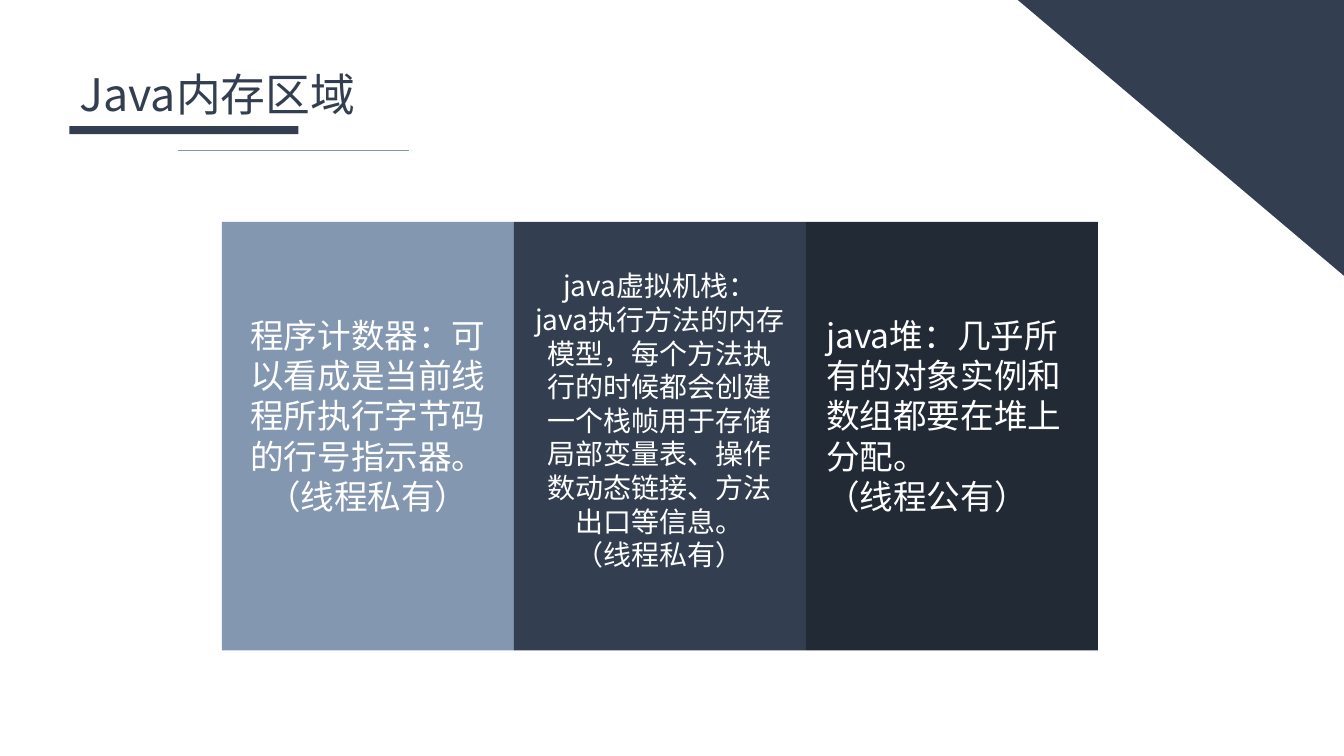
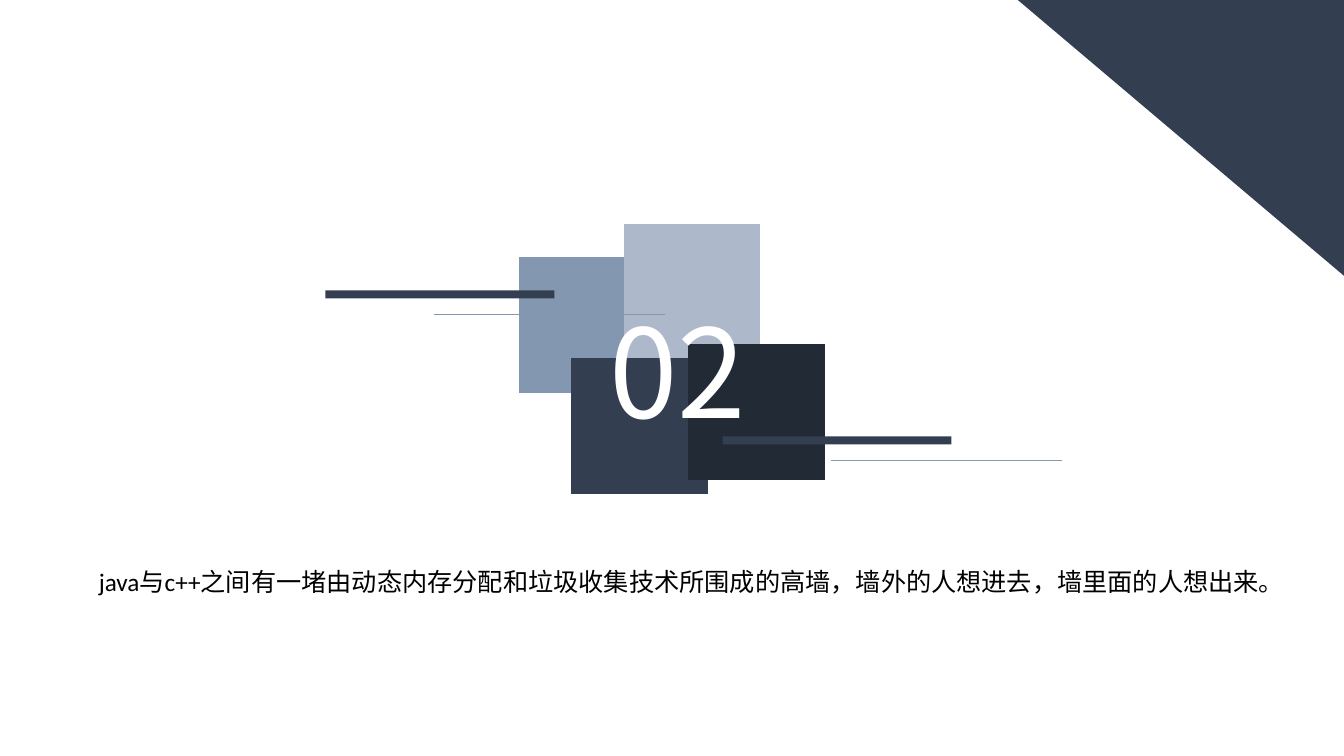
from lxml.etree import SubElement
from pptx import Presentation
from pptx.dml.color import RGBColor
from pptx.enum.shapes import MSO_CONNECTOR as Connector, MSO_SHAPE as Shape
from pptx.enum.text import MSO_AUTO_SIZE as AutoSize, PP_ALIGN as Align
from pptx.oxml.ns import qn
from pptx.util import Cm, Pt

WHITE = RGBColor(0xFF, 0xFF, 0xFF)
BLACK = RGBColor(0, 0, 0)
PALE = RGBColor(0xAD, 0xB9, 0xCA)
STEEL = RGBColor(0x84, 0x97, 0xB0)
NAVY = RGBColor(0x33, 0x3F, 0x50)
INK = RGBColor(0x22, 0x2A, 0x35)

SLIDE_WIDTH, SLIDE_HEIGHT = 33.87, 19.05
CJK_FONT = "Noto Sans CJK JP"
LATIN_FONT = "Calibri"


class Deck:
    """Holds the style and the current slide; lengths are in centimetres."""

    def __init__(self):
        self.presentation = Presentation()
        self.presentation.slide_width = Cm(SLIDE_WIDTH)
        self.presentation.slide_height = Cm(SLIDE_HEIGHT)
        self.slide = None

    def add_slide(self):
        """Start a blank slide with the corner triangle."""
        layout = self.presentation.slide_layouts[6]
        self.slide = self.presentation.slides.add_slide(layout)
        width, height = 8.22, 6.95
        self.add_shape(Shape.RIGHT_TRIANGLE, SLIDE_WIDTH - width, 0,
                       width, height, NAVY, rotation=180)

    def add_shape(self, kind, left, top, width, height, color, rotation=0):
        shape = self.slide.shapes.add_shape(
            kind, Cm(left), Cm(top), Cm(width), Cm(height))
        shape.shadow.inherit = False
        shape.fill.solid()
        shape.fill.fore_color.rgb = color
        shape.line.fill.background()
        shape.rotation = rotation

    def add_line(self, left, top, length):
        line = self.slide.shapes.add_connector(
            Connector.STRAIGHT, Cm(left), Cm(top), Cm(left + length), Cm(top))
        line.line.color.rgb = STEEL
        line.line.width = Pt(0.5)
        SubElement(line._element.spPr, qn("a:effectLst"))

    def add_accent(self, left, top):
        """Thick bar with a thin line shifted to its lower right."""
        self.add_shape(Shape.RECTANGLE, left, top, 5.77, 0.2, NAVY)
        self.add_line(left + 2.74, top + 0.61, 5.82)

    def add_text(self, left, top, width, height, text, size, color=WHITE,
                 align=Align.LEFT, font=CJK_FONT, wrap=True):
        box = self.slide.shapes.add_textbox(
            Cm(left), Cm(top), Cm(width), Cm(height))
        frame = box.text_frame
        frame.text = text
        frame.word_wrap = wrap
        frame.auto_size = AutoSize.SHAPE_TO_FIT_TEXT
        for paragraph in frame.paragraphs:
            paragraph.alignment = align
            for run in paragraph.runs:
                run.font.name = font
                run.font.size = Pt(size)
                run.font.color.rgb = color
                east_asian = SubElement(run.font._element, qn("a:ea"))
                east_asian.set("typeface", CJK_FONT)

    def add_title(self, text):
        left = 1.75
        self.add_accent(left, 3.18)
        self.add_text(left, 1.55, 11.81, 1.63, text, 32, NAVY)


def build_memory_areas(deck):
    deck.add_slide()
    deck.add_title("Java内存区域")
    panels = [
        (STEEL, 7.8, 5.38, 24, Align.CENTER,
         "程序计数器：可以看成是当前线程所执行字节码的行号指示器。（线程私有）"),
        (NAVY, 6.65, 8.71, 20, Align.CENTER,
         "java虚拟机栈：\n"
         "java执行方法的内存模型，每个方法执行的时候都会创建一个栈帧"
         "用于存储局部变量表、操作数动态链接、方法出口等信息。\n"
         "（线程私有）"),
        (INK, 7.8, 5.38, 24, Align.LEFT,
         "java堆：几乎所有的对象实例和数组都要在堆上分配。\n（线程公有）"),
    ]
    panel_width, inset = 7.36, 0.26
    for index, (color, top, height, size, align, text) in enumerate(panels):
        left = 5.59 + index * panel_width
        deck.add_shape(Shape.RECTANGLE, left, 5.59, panel_width, 10.8, color)
        deck.add_text(left + inset, top, panel_width - 2 * inset, height,
                      text, size, align=align)


def build_section(deck):
    deck.add_slide()
    diamonds = [(12.37, 5.77, STEEL), (15.01, 4.93, PALE),
                (13.69, 8.31, NAVY), (16.64, 7.95, INK)]
    for left, top, color in diamonds:
        deck.add_shape(Shape.DIAMOND, left, top, 4.85, 4.85, color, rotation=45)
    deck.add_text(14.96, 7.32, 4.24, 4.01, "02", 88, align=Align.CENTER)
    for left, top in [(8.2, 7.32), (18.21, 11)]:
        deck.add_accent(left, top)
    deck.add_text(
        2.24, 14.15, 30.38, 1.02,
        "java与c++之间有一堵由动态内存分配和垃圾收集技术所围成的高墙，"
        "墙外的人想进去，墙里面的人想出来。",
        18, BLACK, font=LATIN_FONT, wrap=False)


def main():
    deck = Deck()
    build_memory_areas(deck)
    build_section(deck)
    deck.presentation.save("out.pptx")


if __name__ == "__main__":
    main()
